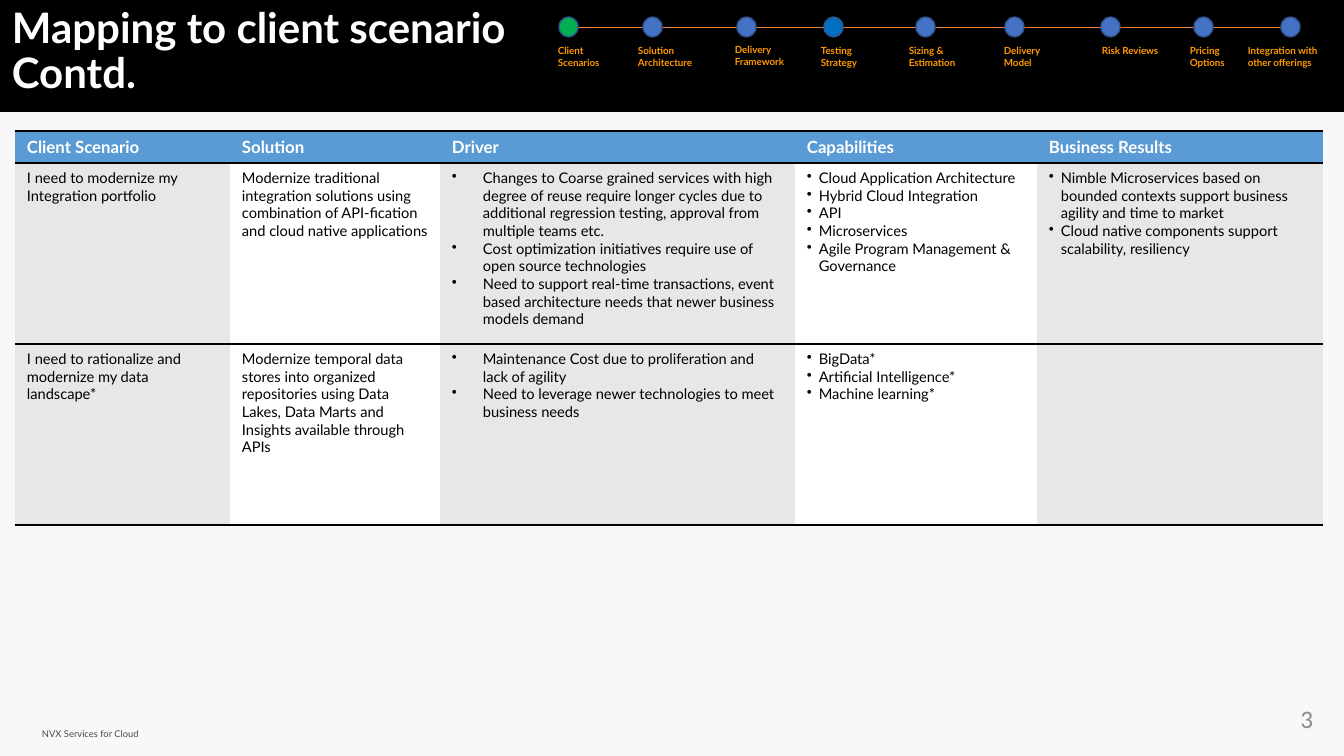
from lxml.etree import SubElement
from pptx import Presentation
from pptx.dml.color import RGBColor
from pptx.enum.shapes import MSO_CONNECTOR, MSO_SHAPE
from pptx.enum.text import MSO_ANCHOR, PP_ALIGN
from pptx.oxml import parse_xml
from pptx.oxml.ns import nsdecls, qn
from pptx.util import Pt

EMU_PER_PX = 914400 / 100.8

STAGES = [
    ("Client Scenarios", "00B050", 559, 548, 40, 77),
    ("Solution Architecture", "4472C4", 643, 628, 40, 83),
    ("Delivery Framework", "4472C4", 737, 725, 39, 95),
    ("Testing Strategy", "0070C0", 824, 811, 40, 67),
    ("Sizing & Estimation", "4472C4", 916, 899, 40, 95),
    ("Delivery Model", "4472C4", 1005, 994, 40, 77),
    ("Risk Reviews", "4472C4", 1101, 1092, 40, 77),
    ("Pricing Options", "4472C4", 1194, 1180, 40, 77),
    ("Integration with other offerings", "4472C4", 1281, 1238, 40, 100),
]

COLUMNS = [
    ("Client Scenario", 215, 0),
    ("Solution", 210, 0),
    ("Driver", 355, 31),
    ("Capabilities", 242, 12),
    ("Business Results", 286, 12),
]

SCENARIOS = [
    [
        ["I need to modernize my Integration portfolio"],
        ["Modernize traditional integration solutions using combination of "
         "API-fication and cloud native applications"],
        ["Changes to Coarse grained services with high degree of reuse require longer "
         "cycles due to additional regression testing, approval from multiple teams etc.",
         "Cost optimization initiatives require use of open source technologies",
         "Need to support real-time transactions, event based architecture needs that "
         "newer business models demand"],
        ["Cloud Application Architecture", "Hybrid Cloud Integration", "API",
         "Microservices", "Agile Program Management & Governance"],
        ["Nimble Microservices based on bounded contexts support business agility and "
         "time to market",
         "Cloud native components support scalability, resiliency"],
    ],
    [
        ["I need to rationalize and modernize my data landscape*"],
        ["Modernize temporal data stores into organized repositories using Data Lakes, "
         "Data Marts and Insights available through APIs"],
        ["Maintenance Cost due to proliferation and lack of agility",
         "Need to leverage newer technologies to meet business needs"],
        ["BigData*", "Artificial Intelligence*", "Machine learning*"],
        [],
    ],
]


def px(length):
    return round(length * EMU_PER_PX)


def rgb(hex_color):
    return RGBColor.from_string(hex_color)


def style(paragraph, size, color, bold=False, font="Lato"):
    paragraph.font.name = font
    paragraph.font.size = Pt(size)
    paragraph.font.bold = bold
    paragraph.font.color.rgb = rgb(color)
    for run in paragraph.runs:
        run.font.name = font
        run.font.size = Pt(size)
        run.font.bold = bold
        run.font.color.rgb = rgb(color)


def add_text(slide, text, box, size, color, bold=False, font="Lato", inset=True,
             anchor=MSO_ANCHOR.TOP, align=PP_ALIGN.LEFT, spacing=None):
    frame = slide.shapes.add_textbox(*map(px, box)).text_frame
    frame.word_wrap = True
    frame.vertical_anchor = anchor
    if not inset:
        frame.margin_left = frame.margin_right = 0
        frame.margin_top = frame.margin_bottom = 0
    paragraph = frame.paragraphs[0]
    paragraph.text = text
    paragraph.alignment = align
    paragraph.line_spacing = spacing
    style(paragraph, size, color, bold, font)


def add_block(slide, preset, box, fill, outline=None):
    block = slide.shapes.add_shape(preset, *map(px, box))
    block.shadow.inherit = False
    block.fill.solid()
    block.fill.fore_color.rgb = rgb(fill)
    if outline:
        block.line.color.rgb = rgb(outline)
        block.line.width = Pt(1)
    else:
        block.line.fill.background()


def add_track(slide, left, right, y):
    track = slide.shapes.add_connector(
        MSO_CONNECTOR.STRAIGHT, px(left), px(y), px(right), px(y))
    track.line.color.rgb = rgb("ED7D31")
    track.line.width = Pt(0.5)
    SubElement(track._element.spPr, qn("a:effectLst"))


def set_bullet(paragraph, indent):
    properties = paragraph._p.get_or_add_pPr()
    properties.set("marL", str(px(indent)))
    properties.set("indent", str(-px(indent)))
    SubElement(properties, qn("a:buChar")).set("char", "•")


def set_borders(cell):
    black = '<a:solidFill><a:srgbClr val="000000"/></a:solidFill>'
    borders = [("lnL", 0, "<a:noFill/>"), ("lnR", 0, "<a:noFill/>"),
               ("lnT", Pt(2), black), ("lnB", Pt(2), black)]
    for position, (side, width, paint) in enumerate(borders):
        border = parse_xml(f'<a:{side} {nsdecls("a")} w="{width}">{paint}</a:{side}>')
        cell._tc.get_or_add_tcPr().insert(position, border)


def fill_cell(cell, lines, fill, size, color, bold=False, indent=0):
    cell.fill.solid()
    cell.fill.fore_color.rgb = rgb(fill)
    cell.margin_left = cell.margin_right = px(12)
    cell.margin_top = cell.margin_bottom = px(6)
    set_borders(cell)
    cell.text_frame.text = "\n".join(lines)
    for paragraph in cell.text_frame.paragraphs:
        if indent and lines:
            set_bullet(paragraph, indent)
        style(paragraph, size, color, bold)


def add_scenario_table(slide):
    row_heights = [32, 181, 181]
    width = sum(column[1] for column in COLUMNS)
    table = slide.shapes.add_table(
        len(row_heights), len(COLUMNS), px(15), px(131), px(width),
        px(sum(row_heights))).table
    table.first_row = table.horz_banding = False
    for row, height in zip(table.rows, row_heights):
        row.height = px(height)
    for c, (heading, column_width, indent) in enumerate(COLUMNS):
        table.columns[c].width = px(column_width)
        fill_cell(table.cell(0, c), [heading], "5B9BD5", 12, "FFFFFF", bold=True)
        shade = "FFFFFF" if c % 2 else "E7E7E7"
        for r, scenario in enumerate(SCENARIOS, start=1):
            fill_cell(table.cell(r, c), scenario[c], shade, 10.5, "000000",
                      indent=indent)


def add_stages(slide):
    add_track(slide, 559, 1294, 27)
    for name, fill, dot_x, label_x, label_y, label_width in STAGES:
        add_block(slide, MSO_SHAPE.OVAL, (dot_x, 17, 19, 20), fill, "325491")
        add_text(slide, name, (label_x, label_y, label_width, 34), 7, "FF9900", bold=True)


def main():
    deck = Presentation()
    deck.slide_width, deck.slide_height = px(1344), px(756)
    slide = deck.slides.add_slide(deck.slide_layouts[6])
    slide.background.fill.solid()
    slide.background.fill.fore_color.rgb = rgb("F8F8F8")

    add_block(slide, MSO_SHAPE.RECTANGLE, (0, 0, 1344, 112), "000000")
    add_text(slide, "Mapping to client scenario\vContd.", (12, 7, 524, 49), 30, "FFFFFF",
             bold=True, inset=False, spacing=0.9)
    add_text(slide, "3", (1021, 698, 302, 40), 18, "8C8C8C", font="Calibri",
             align=PP_ALIGN.RIGHT)
    add_text(slide, "NVX Services for Cloud", (42, 697, 605, 42), 6.7, "4A4A4A",
             inset=False, anchor=MSO_ANCHOR.BOTTOM, spacing=1.05)
    add_stages(slide)
    add_scenario_table(slide)
    deck.save("out.pptx")


if __name__ == "__main__":
    main()
